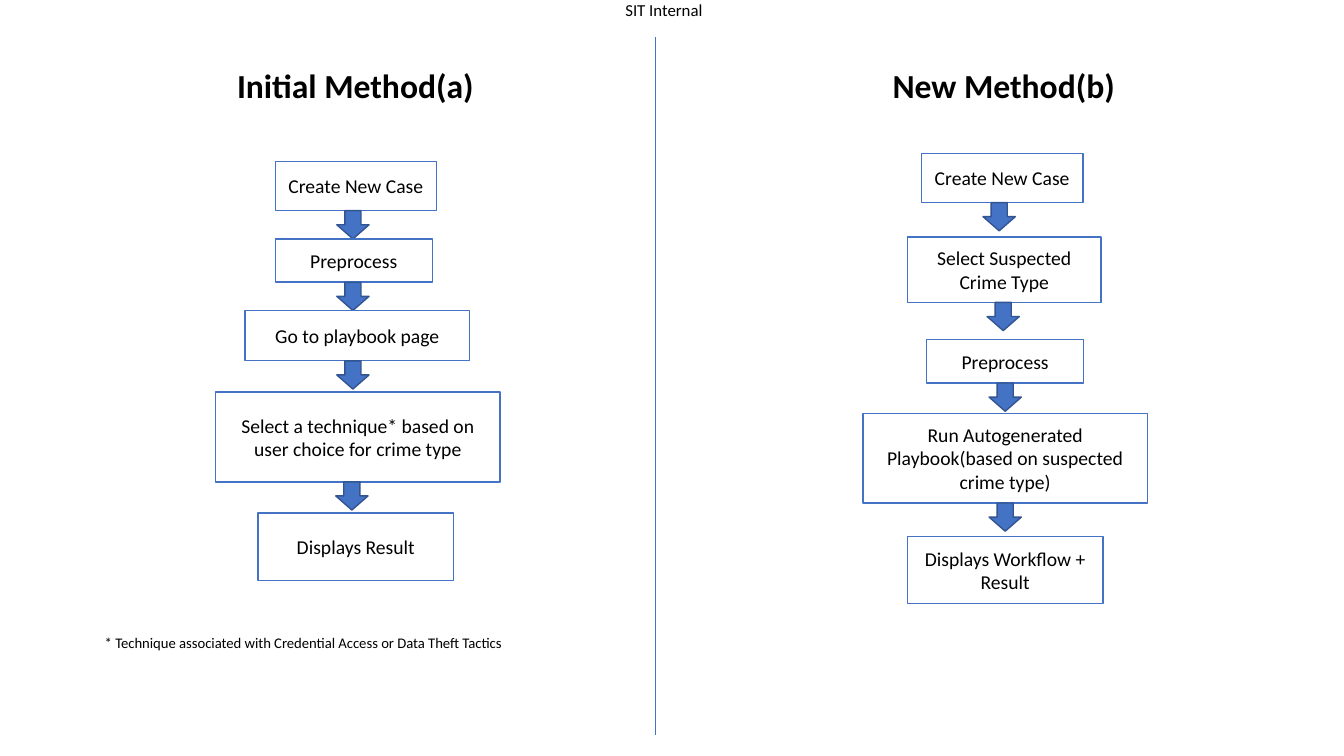
from lxml.etree import SubElement
from pptx import Presentation
from pptx.dml.color import RGBColor
from pptx.enum.shapes import MSO_CONNECTOR, MSO_SHAPE
from pptx.enum.text import MSO_ANCHOR, MSO_AUTO_SIZE, PP_ALIGN
from pptx.oxml.ns import qn
from pptx.util import Inches, Pt

# Content: each step is text, left, top, width, height, left of the arrow below
LABEL = "SIT Internal"
FOOTNOTE = "* Technique associated with Credential Access or Data Theft Tactics"
METHODS = [
    ("Initial Method(a)", 1.76, [
        ("Create New Case", 2.73, 1.6, 1.6, 0.49, 3.34),
        ("Preprocess", 2.73, 2.37, 1.56, 0.43, 3.34),
        ("Go to playbook page", 2.43, 3.08, 2.23, 0.5, 3.34),
        ("Select a technique* based on user choice for crime type",
         2.14, 3.89, 2.82, 0.89, 3.33),
        ("Displays Result", 2.56, 5.09, 1.94, 0.67, None),
    ]),
    ("New Method(b)", 8.19, [
        ("Create New Case", 9.14, 1.52, 1.6, 0.49, 9.75),
        ("Select Suspected Crime Type", 9, 2.35, 1.92, 0.65, 9.79),
        ("Preprocess", 9.19, 3.37, 1.56, 0.43, 9.81),
        ("Run Autogenerated Playbook(based on suspected crime type)",
         8.56, 4.1, 2.82, 0.89, 9.81),
        ("Displays Workflow + Result", 9, 5.32, 1.94, 0.67, None),
    ]),
]
COLORS = {"text": "000000", "box": "FFFFFF", "blue": "4472C4", "edge": "325491"}
FONT = "Calibri"


def color(name):
    return RGBColor.from_string(COLORS[name])


def write(shape, text, size=14, bold=False, align=PP_ALIGN.CENTER,
          anchor=MSO_ANCHOR.MIDDLE, wrap=True, margin=None):
    frame = shape.text_frame
    frame.auto_size = MSO_AUTO_SIZE.NONE
    frame.word_wrap = wrap
    frame.vertical_anchor = anchor
    if margin is not None:
        frame.margin_left = frame.margin_right = Inches(margin)
        frame.margin_top = frame.margin_bottom = Inches(margin)
    para = frame.paragraphs[0]
    para.alignment = align
    span = para.add_run()
    span.text = text
    span.font.name = FONT
    span.font.size = Pt(size)
    span.font.bold = bold
    span.font.color.rgb = color("text")


def add_block(page, kind, area, fill, line):
    block = page.shapes.add_shape(kind, *map(Inches, area))
    block.shadow.inherit = False
    block.fill.solid()
    block.fill.fore_color.rgb = color(fill)
    block.line.color.rgb = color(line)
    block.line.width = Pt(1)
    return block


def add_text(page, area, text, **style):
    write(page.shapes.add_textbox(*map(Inches, area)), text, **style)


deck = Presentation()
deck.slide_width, deck.slide_height = Inches(13.33), Inches(7.5)
page = deck.slides.add_slide(deck.slide_layouts[5])

# Classification label
add_text(page, (6.18, 0, 0.81, 0.2), LABEL, size=12, wrap=False, margin=0,
         anchor=MSO_ANCHOR.TOP)

# Headings: the first is the slide title
for index, (heading, left, steps) in enumerate(METHODS):
    area = [Inches(value) for value in (left, 0.59, 3.53, 0.5)]
    if index == 0:
        box = page.shapes.title
        box.left, box.top, box.width, box.height = area
    else:
        box = page.shapes.add_textbox(*area)
    write(box, heading, size=24, bold=True, anchor=MSO_ANCHOR.TOP)

# Divider between the methods
divider = page.shapes.add_connector(
    MSO_CONNECTOR.STRAIGHT, Inches(6.5), Inches(0.37), Inches(6.5), Inches(7.29))
divider.line.color.rgb = color("blue")
divider.line.width = Pt(0.5)
SubElement(divider.element.spPr, qn("a:effectLst"))

# Steps, each with an arrow starting at its lower edge
for heading, heading_left, steps in METHODS:
    for text, left, top, width, height, arrow_left in steps:
        box = add_block(page, MSO_SHAPE.RECTANGLE, (left, top, width, height),
                        "box", "blue")
        write(box, text)
        if arrow_left is not None:
            add_block(page, MSO_SHAPE.DOWN_ARROW,
                      (arrow_left, top + height, 0.32, 0.28), "blue", "edge")

# Footnote
add_text(page, (0.94, 6.24, 4.28, 0.28), FOOTNOTE, size=10.5, wrap=False,
         align=PP_ALIGN.LEFT, anchor=MSO_ANCHOR.TOP)

deck.save("out.pptx")
